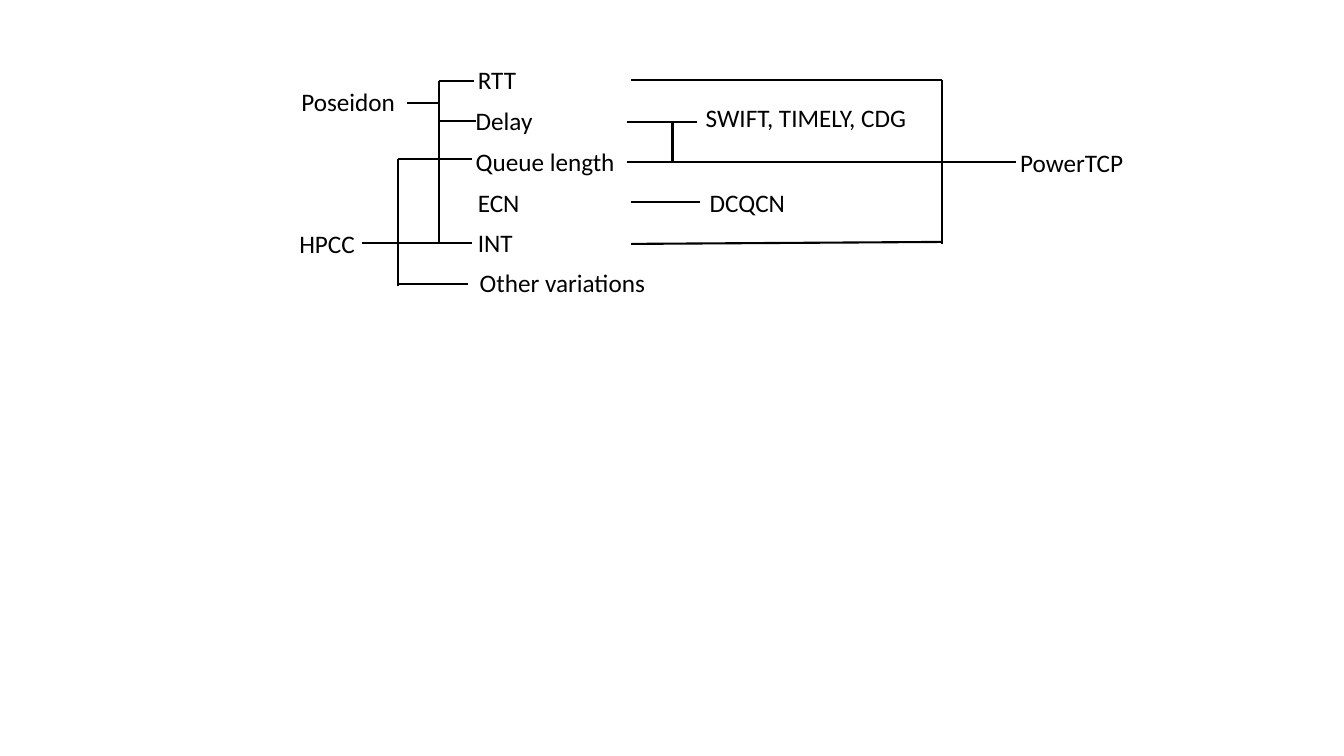
import pptx
import pptx.dml.color
import pptx.enum.shapes
import pptx.enum.text
import pptx.util
from lxml import etree
from pptx.util import Inches

BLACK = pptx.dml.color.RGBColor(0x00, 0x00, 0x00)
DRAWING_NAMESPACE = "http://schemas.openxmlformats.org/drawingml/2006/main"


def write_text(shape, text, font="Calibri", size=18, color=BLACK):
    frame = shape.text_frame
    frame.word_wrap = False
    frame.auto_size = pptx.enum.text.MSO_AUTO_SIZE.SHAPE_TO_FIT_TEXT
    run = frame.paragraphs[0].add_run()
    run.text = text
    run.font.name = font
    run.font.size = pptx.util.Pt(size)
    run.font.color.rgb = color


class Diagram:
    label_height = 0.4
    line_width = 1.5
    line_color = BLACK

    def __init__(self, slide):
        self.slide = slide

    def label(self, text, left, top, width):
        shape = self.slide.shapes.add_textbox(
            Inches(left), Inches(top), Inches(width), Inches(self.label_height))
        write_text(shape, text)

    def line(self, x1, y1, x2, y2):
        connector = self.slide.shapes.add_connector(
            pptx.enum.shapes.MSO_CONNECTOR.STRAIGHT,
            Inches(x1), Inches(y1), Inches(x2), Inches(y2))
        connector.line.color.rgb = self.line_color
        connector.line.width = pptx.util.Pt(self.line_width)
        properties = connector.element.spPr
        etree.SubElement(properties, f"{{{DRAWING_NAMESPACE}}}effectLst")

    def horizontal(self, y, x1, x2):
        self.line(x1, y, x2, y)

    def vertical(self, x, y1, y2):
        self.line(x, y1, x, y2)


def main():
    presentation = pptx.Presentation()
    presentation.slide_width = Inches(13.33)
    presentation.slide_height = Inches(7.5)
    diagram = Diagram(presentation.slides.add_slide(presentation.slide_layouts[6]))

    # Congestion signals in the middle column
    signals = [
        ("RTT", 4.64, 0.59, 0.59),
        ("Delay", 4.62, 1.0, 0.77),
        ("Queue length", 4.62, 1.4, 1.6),
        ("ECN", 4.64, 1.81, 0.62),
        ("INT", 4.64, 2.21, 0.55),
        ("Other variations", 4.66, 2.6, 1.86),
    ]
    # Algorithms on both sides
    algorithms = [
        ("Poseidon", 2.89, 0.81, 1.14),
        ("HPCC", 2.87, 2.22, 0.76),
        ("SWIFT, TIMELY, CDG", 6.9, 0.97, 2.21),
        ("DCQCN", 6.94, 1.81, 0.96),
        ("PowerTCP", 10.02, 1.41, 1.23),
    ]
    for text, left, top, width in signals + algorithms:
        diagram.label(text, left, top, width)

    # Poseidon bracket: RTT, delay and INT
    poseidon_x = 4.35
    diagram.vertical(poseidon_x, 0.8, 2.42)
    diagram.horizontal(1.02, 4.04, poseidon_x)
    diagram.horizontal(0.8, poseidon_x, 4.7)
    diagram.horizontal(1.2, poseidon_x, 4.72)

    # HPCC bracket: queue length, INT and other variations
    hpcc_x = 3.95
    diagram.vertical(hpcc_x, 1.58, 2.84)
    diagram.horizontal(2.41, 3.59, hpcc_x)
    for y, end in [(1.58, 4.68), (2.41, 4.68), (2.82, 4.64)]:
        diagram.horizontal(y, hpcc_x, end)

    # Delay and queue length joined, and ECN to DCQCN
    diagram.horizontal(1.21, 6.22, 6.91)
    diagram.vertical(6.67, 1.22, 1.61)
    diagram.horizontal(2.0, 6.26, 6.94)

    # PowerTCP bracket: RTT, queue length and INT
    power_x = 9.34
    diagram.vertical(power_x, 0.79, 2.42)
    diagram.horizontal(0.79, 6.26, power_x)
    diagram.line(6.26, 2.42, power_x, 2.4)
    for start, end in [(6.22, 9.4), (9.4, 10.08)]:
        diagram.horizontal(1.61, start, end)

    presentation.save("out.pptx")


if __name__ == "__main__":
    main()
